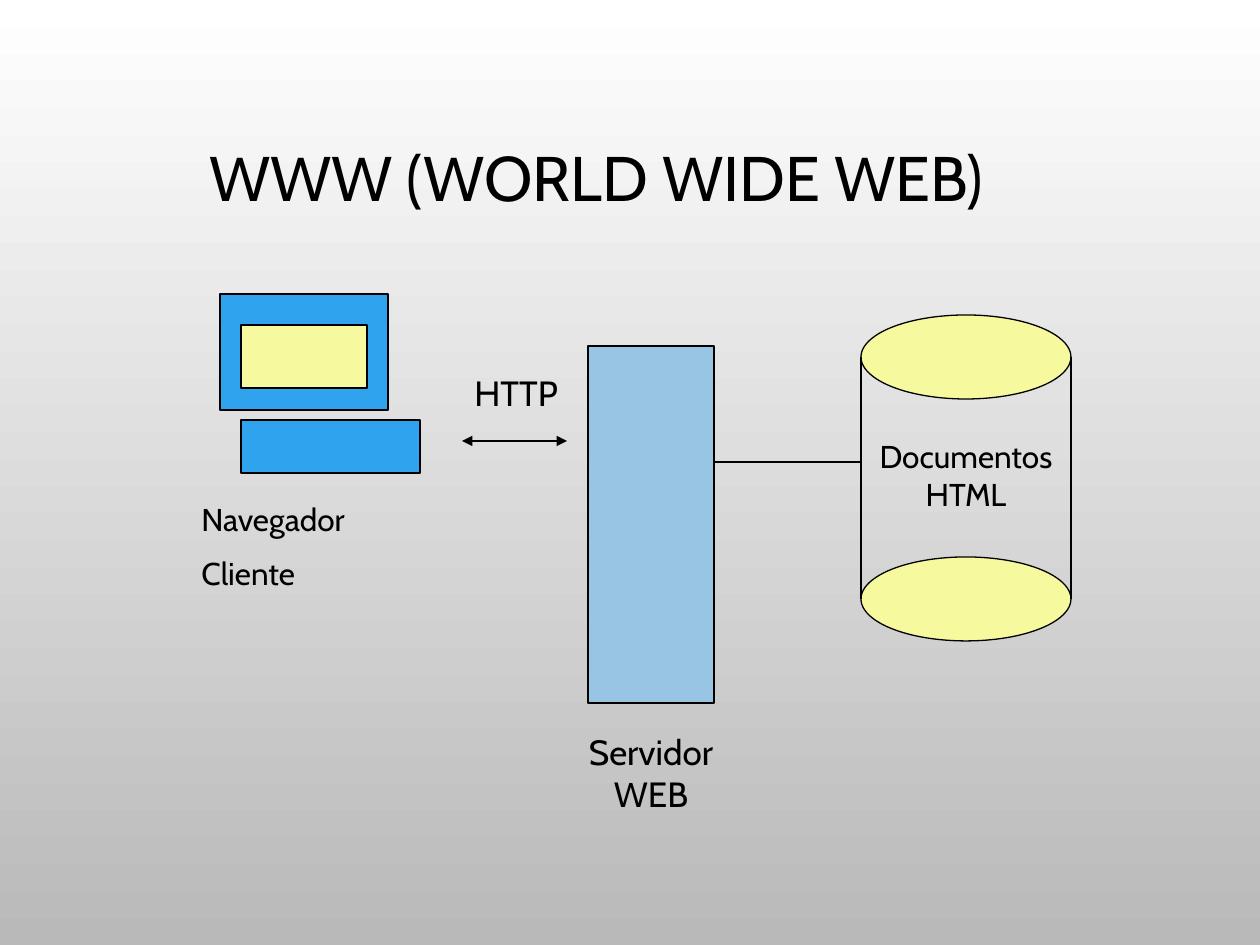
from dataclasses import dataclass

from lxml import etree
from pptx import Presentation
from pptx.dml.color import RGBColor
from pptx.enum.shapes import MSO_CONNECTOR, MSO_SHAPE
from pptx.enum.text import MSO_ANCHOR, PP_ALIGN
from pptx.oxml.ns import qn
from pptx.util import Emu, Pt

RECT, OVAL = MSO_SHAPE.RECTANGLE, MSO_SHAPE.OVAL
STRAIGHT = MSO_CONNECTOR.STRAIGHT
LEFT, CENTER = PP_ALIGN.LEFT, PP_ALIGN.CENTER
TOP, MIDDLE = MSO_ANCHOR.TOP, MSO_ANCHOR.MIDDLE
PX = 914400 // 126


@dataclass(frozen=True)
class Theme:
    """Colours, font and type sizes of the slide."""
    font: str = "Cabin"
    ink: str = "000000"
    computer: str = "2FA3EE"
    server: str = "97C5E3"
    data: str = "F7F99F"
    back: tuple = ("FFFFFF", "B9B9B9")
    title: int = 36
    label: int = 20
    small: int = 18
    gap: int = 9
    line: float = 0.75


THEME = Theme()


def px(*values):
    """Turn pixel lengths into EMU."""
    return [Emu(v * PX) for v in values]


def rgb(value):
    """Return the colour for a hex string."""
    return RGBColor.from_string(value)


def add_block(s, kind, box, fill):
    """Add an outlined shape with a solid fill."""
    sp = s.shapes.add_shape(kind, *px(*box))
    sp.shadow.inherit = False
    sp.fill.solid()
    sp.fill.fore_color.rgb = rgb(fill)
    sp.line.color.rgb = rgb(THEME.ink)
    sp.line.width = Pt(THEME.line)


def add_line(s, start, end, arrows=False):
    """Add a straight line, with arrowheads at both ends if asked."""
    sp = s.shapes.add_connector(STRAIGHT, *px(*start, *end))
    sp.line.color.rgb = rgb(THEME.ink)
    sp.line.width = Pt(THEME.line)
    if arrows:
        ln = sp.line._get_or_add_ln()
        for tag in ("a:headEnd", "a:tailEnd"):
            etree.SubElement(ln, qn(tag), type="triangle")
    etree.SubElement(sp._element.spPr, qn("a:effectLst"))


def add_text(s, box, lines, size, align=CENTER, anchor=TOP, spacing=None):
    """Add a wrapped text box with one paragraph per line."""
    tf = s.shapes.add_textbox(*px(*box)).text_frame
    tf.word_wrap = True
    tf.vertical_anchor = anchor
    for i, line in enumerate(lines):
        p = tf.add_paragraph() if i else tf.paragraphs[0]
        p.alignment = align
        p.line_spacing = spacing
        if i:
            p.space_before = Pt(THEME.gap)
        r = p.add_run()
        r.text = line
        r.font.name = THEME.font
        r.font.size = Pt(size)
        r.font.color.rgb = rgb(THEME.ink)


def paint_background(s):
    """Fill the background with a vertical gradient."""
    fill = s.background.fill
    fill.gradient()
    fill.gradient_angle = 270
    for stop, colour, position in zip(fill.gradient_stops, THEME.back, (0, 1)):
        stop.color.rgb = rgb(colour)
        stop.position = position


def draw_client(s, x, y, w, h):
    """Draw the client computer with its caption below."""
    add_block(s, RECT, (x, y, w - 32, h - 63), THEME.computer)
    add_block(s, RECT, (x + 21, y + 31, w - 74, 63), THEME.data)
    add_block(s, RECT, (x + 21, y + h - 53, w - 21, 53), THEME.computer)
    add_text(s, (x - 31, y + h + 21, w + 10, 108), ("Navegador", "Cliente"), THEME.small, LEFT)


def draw_server(s, x, y, w, h):
    """Draw the server tower with its caption below."""
    add_block(s, RECT, (x, y, w, h), THEME.server)
    add_text(s, (x - 21, y + h + 21, w + 42, 97), ("Servidor WEB",), THEME.label)


def draw_store(s, x, y, w, h):
    """Draw the document store as an open cylinder."""
    cap = 84
    for top in (y, y + h - cap):
        add_block(s, OVAL, (x, top, w, cap), THEME.data)
    for side in (x, x + w):
        add_line(s, (side, y + cap // 2), (side, y + h - cap // 2))
    add_text(s, (x - 10, y + 116, w + 20, 89), ("Documentos HTML",), THEME.small)


def draw_http(s, x, y, w, h):
    """Draw the two-way HTTP exchange, label above arrow."""
    add_line(s, (x, y + h), (x + w, y + h), arrows=True)
    add_text(s, (x, y, w + 31, 54), ("HTTP",), THEME.label, LEFT)


def main():
    """Build the slide and save it."""
    prs = Presentation()
    prs.slide_width, prs.slide_height = px(1260, 945)
    s = prs.slides.add_slide(prs.slide_layouts[6])
    paint_background(s)
    add_text(s, (29, 108, 1134, 147), ("WWW (WORLD WIDE WEB)",), THEME.title,
             anchor=MIDDLE, spacing=0.9)
    draw_client(s, 220, 294, 200, 179)
    draw_server(s, 588, 346, 126, 357)
    draw_store(s, 861, 315, 210, 326)
    draw_http(s, 462, 365, 105, 76)
    add_line(s, (714, 462), (861, 462))
    prs.save("out.pptx")


if __name__ == "__main__":
    main()
